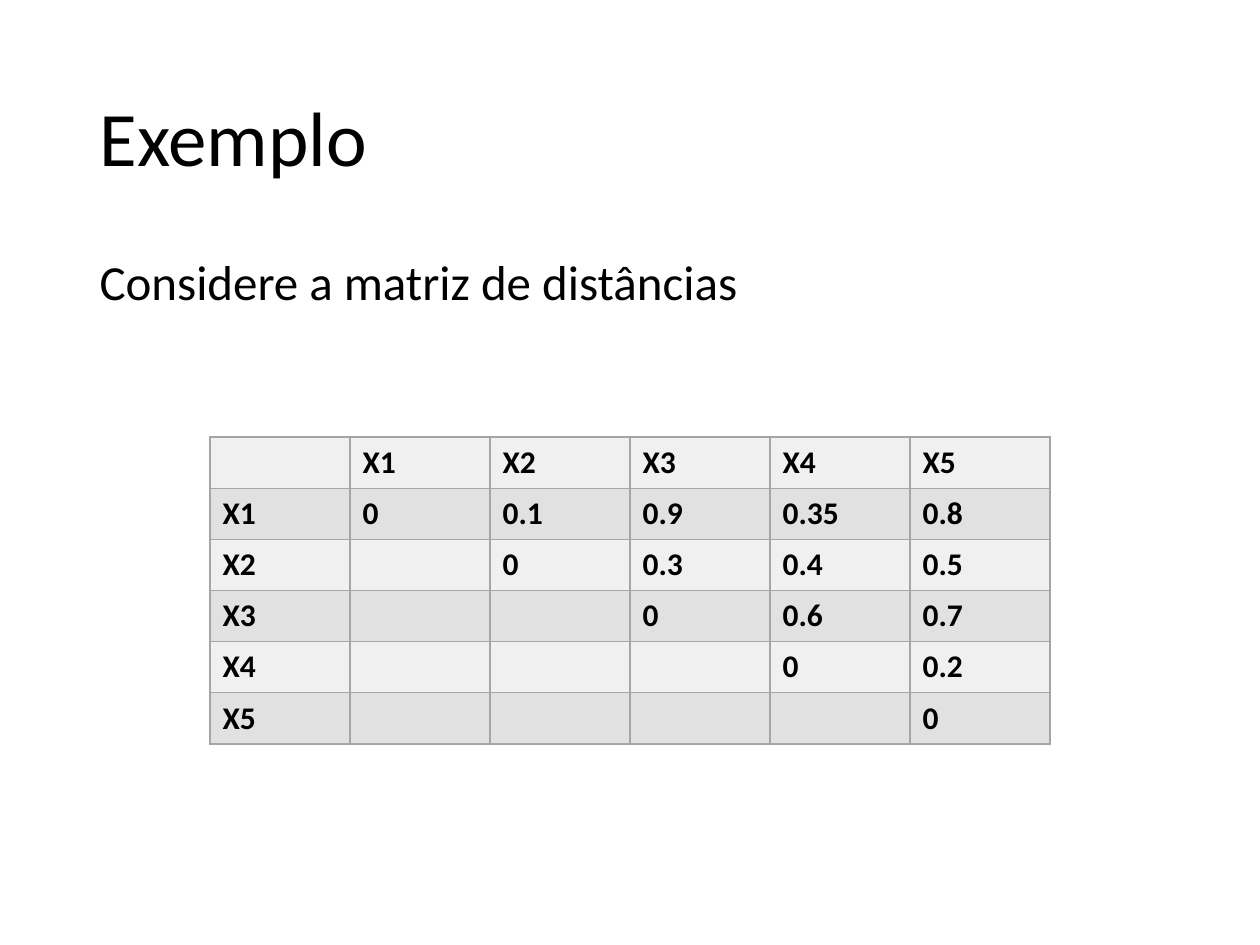
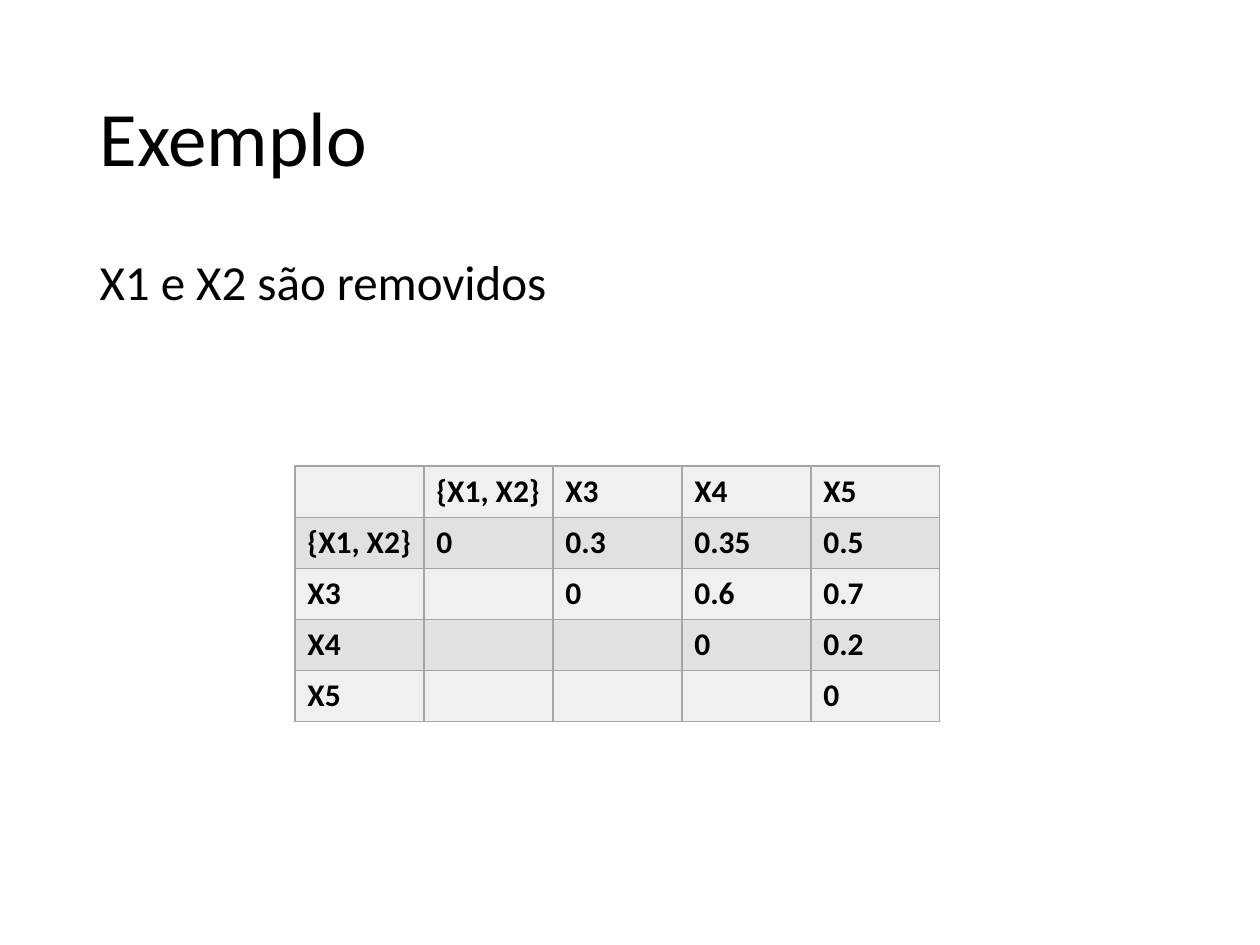
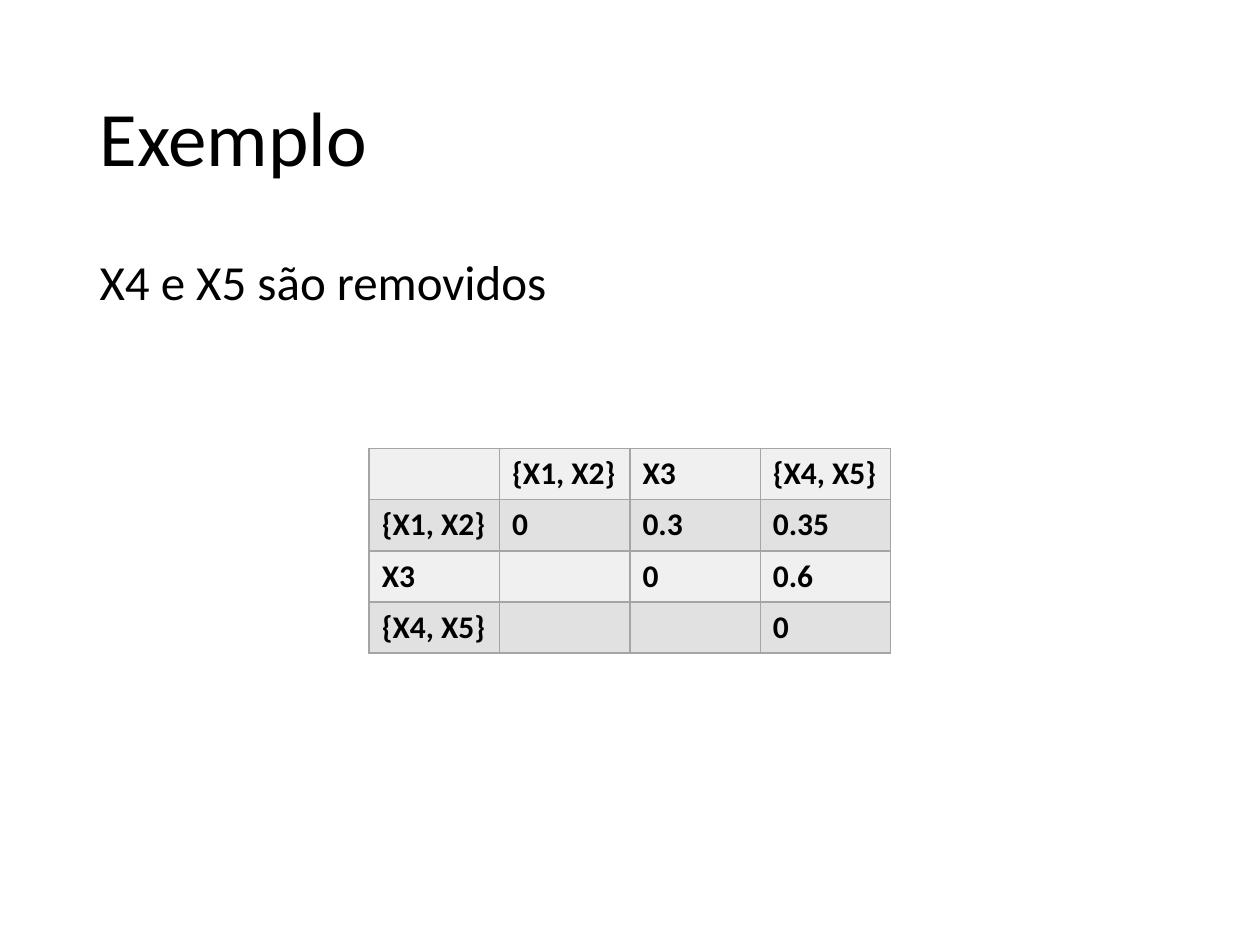
"""Build three slides that follow a distance matrix through its merges."""

from dataclasses import dataclass

from lxml.etree import SubElement
from pptx import Presentation
from pptx.dml.color import RGBColor
from pptx.enum.text import MSO_ANCHOR, PP_ALIGN
from pptx.oxml.ns import qn
from pptx.shapes.base import BaseShape
from pptx.slide import Slide
from pptx.table import _Cell
from pptx.text.text import _Paragraph
from pptx.util import Emu, Inches, Pt

WIDE, TALL = Inches(10), Inches(7.5)


@dataclass(frozen=True)
class Theme:
    """Colours, type sizes and line measures of the deck."""

    font: str = "Calibri"
    ink: str = "000000"
    edge: str = "A5A5A5"
    bands: tuple[str, str] = ("F0F0F0", "E1E1E1")
    title: int = 44
    body: int = 28
    cell: int = 18
    line: int = 1


@dataclass(frozen=True)
class Box:
    """A frame in percent of the slide's size."""

    left: float
    top: float
    wide: float
    tall: float

    def frame(self) -> tuple[Emu, Emu, Emu, Emu]:
        """Return left, top, width and height as lengths."""
        return (Emu(int(WIDE * self.left / 100)), Emu(int(TALL * self.top / 100)),
                Emu(int(WIDE * self.wide / 100)), Emu(int(TALL * self.tall / 100)))


@dataclass(frozen=True)
class Step:
    """One slide: its lead line, matrix place, labels and upper values."""

    lead: str
    left: float
    top: float
    wide: float
    names: tuple[str, ...]
    upper: tuple[tuple[str, ...], ...]

    def grid(self) -> list[list[str]]:
        """Return the labelled matrix with a zero diagonal and blank lower half."""
        rows = [["", *self.names]]
        for i, name in enumerate(self.names):
            more = self.upper[i] if i < len(self.upper) else ()
            rows.append([name, *[""] * i, "0", *more])
        return rows


THEME = Theme()
TITLE = Box(6.9, 5.33, 86.2, 19.33)
BODY = Box(6.9, 26.67, 86.2, 63.47)
ROW = 5.41

STEPS = (
    Step("Considere a matriz de distâncias", 16.67, 46.27, 66.67,
         ("X1", "X2", "X3", "X4", "X5"),
         (("0.1", "0.9", "0.35", "0.8"), ("0.3", "0.4", "0.5"), ("0.6", "0.7"), ("0.2",))),
    Step("X1 e X2 são removidos", 23.4, 49.33, 51.2,
         ("{X1, X2}", "X3", "X4", "X5"),
         (("0.3", "0.35", "0.5"), ("0.6", "0.7"), ("0.2",))),
    Step("X4 e X5 são removidos", 29.3, 47.47, 41.4,
         ("{X1, X2}", "X3", "{X4, X5}"),
         (("0.3", "0.35"), ("0.6",))),
)


def style(para: _Paragraph, size: int, bold: bool = False) -> None:
    """Set the theme's font on a paragraph."""
    font = para.font
    font.name, font.size, font.bold = THEME.font, Pt(size), bold
    font.color.rgb = RGBColor.from_string(THEME.ink)


def fill_text(shape: BaseShape, box: Box, text: str, size: int,
              anchor: MSO_ANCHOR, gap: int = 0) -> None:
    """Place a placeholder and give it one plain left-aligned line."""
    shape.left, shape.top, shape.width, shape.height = box.frame()
    frame = shape.text_frame
    frame.text, frame.vertical_anchor = text, anchor
    para = frame.paragraphs[0]
    props = para._p.get_or_add_pPr()
    props.set("marL", "0")
    props.set("indent", "0")
    SubElement(props, qn("a:buNone"))
    para.alignment = PP_ALIGN.LEFT
    para.line_spacing, para.space_before = 0.9, Pt(gap)
    style(para, size)


def edge(cell: _Cell) -> None:
    """Draw the four borders of a cell."""
    props = cell._tc.get_or_add_tcPr()
    for side in ("lnL", "lnR", "lnT", "lnB"):
        line = SubElement(props, qn(f"a:{side}"), w=str(Pt(THEME.line)))
        paint = SubElement(line, qn("a:solidFill"))
        SubElement(paint, qn("a:srgbClr"), val=THEME.edge)


def add_matrix(slide: Slide, step: Step) -> None:
    """Add the banded distance table of a step."""
    grid = step.grid()
    count = len(grid)
    box = Box(step.left, step.top, step.wide, ROW * count)
    table = slide.shapes.add_table(count, count, *box.frame()).table
    table.first_row = table.horz_banding = False
    for i, row in enumerate(grid):
        for j, text in enumerate(row):
            cell = table.cell(i, j)
            edge(cell)
            cell.fill.solid()
            cell.fill.fore_color.rgb = RGBColor.from_string(THEME.bands[i % 2])
            cell.text = text
            style(cell.text_frame.paragraphs[0], THEME.cell, True)


def main() -> None:
    """Build and save the deck."""
    deck = Presentation()
    deck.slide_width, deck.slide_height = WIDE, TALL
    for step in STEPS:
        slide = deck.slides.add_slide(deck.slide_layouts[1])
        fill_text(slide.shapes.title, TITLE, "Exemplo", THEME.title, MSO_ANCHOR.MIDDLE)
        fill_text(slide.placeholders[1], BODY, step.lead, THEME.body, MSO_ANCHOR.TOP, 10)
        add_matrix(slide, step)
    deck.save("out.pptx")


if __name__ == "__main__":
    main()
